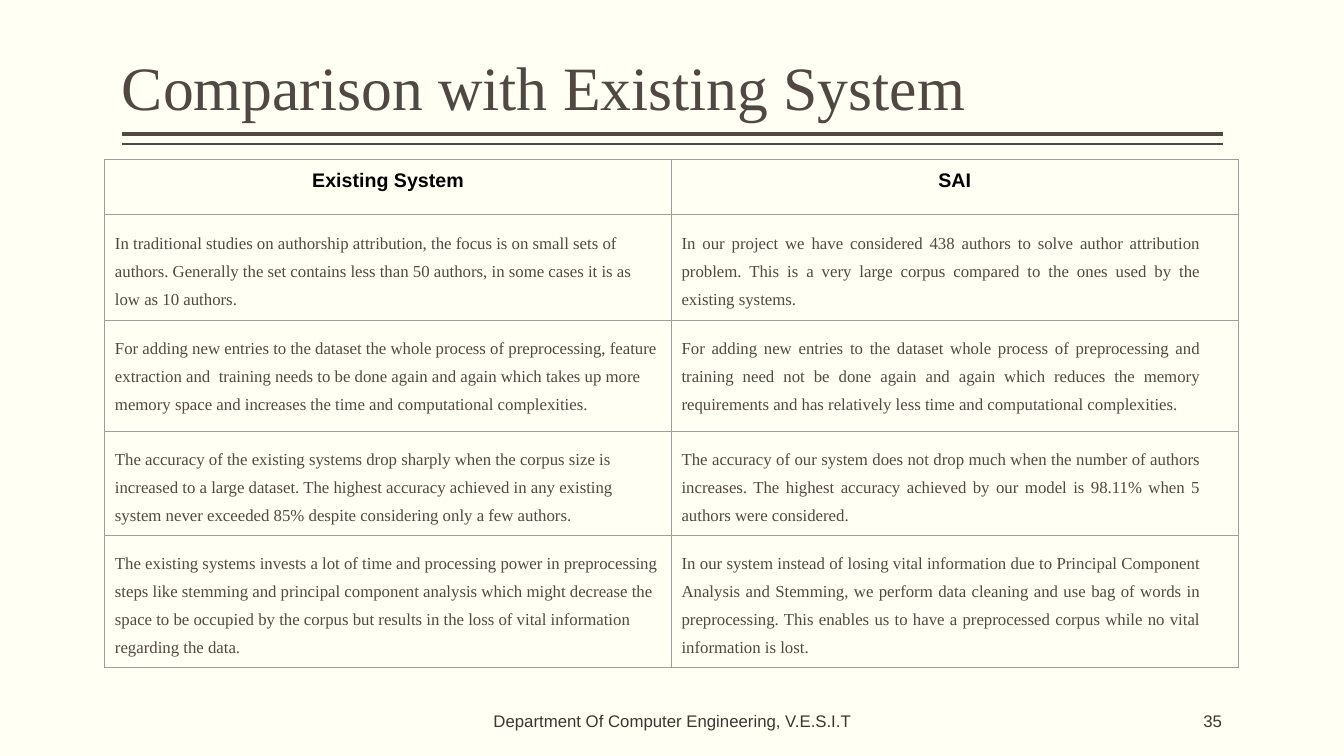
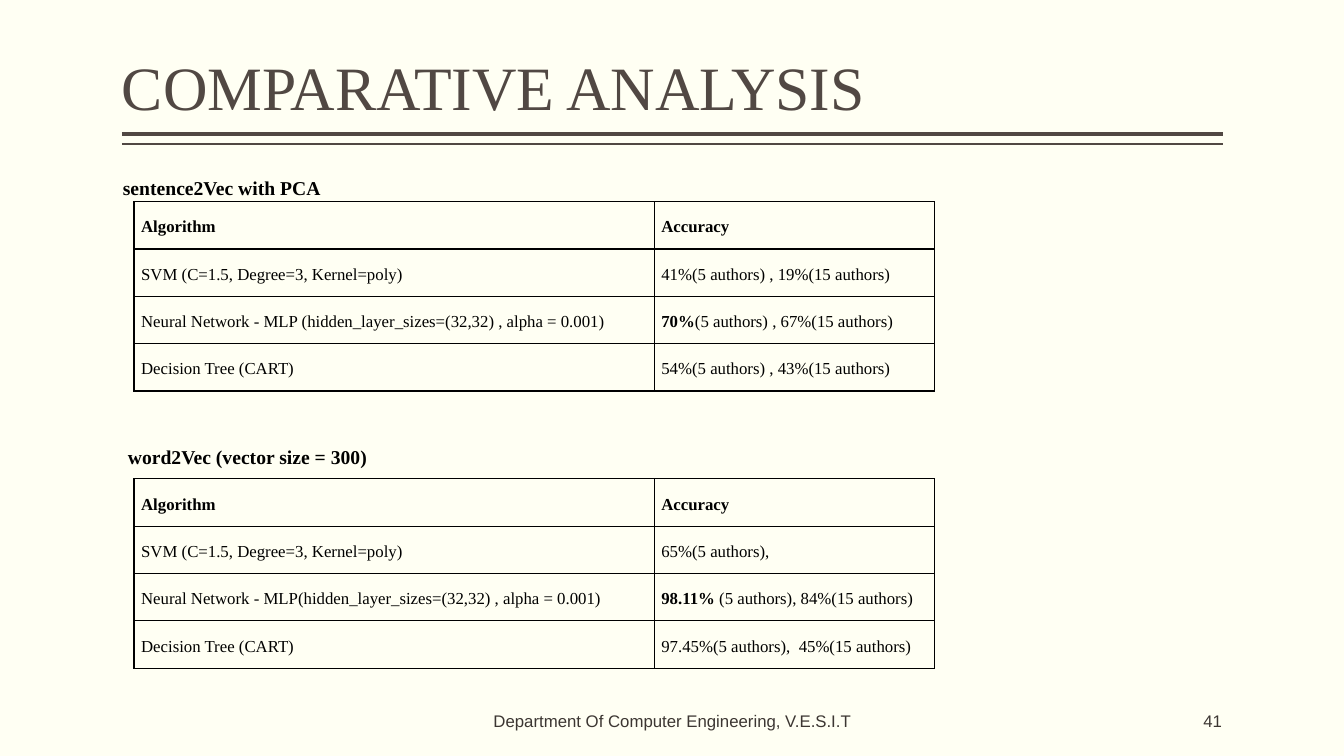
from lxml import etree
from pptx import Presentation
from pptx.dml.color import RGBColor
from pptx.enum.shapes import MSO_CONNECTOR as Link
from pptx.enum.text import MSO_ANCHOR as Anchor, MSO_AUTO_SIZE as Fit, PP_ALIGN as Align
from pptx.oxml.ns import qn
from pptx.util import Inches, Pt

# Shared look
PAPER, BROWN, DARK, BLACK, GREY = "FFFFF3", "514843", "3C3632", "000000", "9E9E9E"
SERIF, SANS = "Times New Roman", "Arial"
LEFT, RIGHT = 1.21, 12.13
FOOTER = "Department Of Computer Engineering, V.E.S.I.T"

# Slide content
SYSTEMS = [
    ("In traditional studies on authorship attribution, the focus is on small sets of authors. "
     "Generally the set contains less than 50 authors, in some cases it is as low as 10 authors.",
     "In our project we have considered 438 authors to solve author attribution problem. "
     "This is a very large corpus compared to the ones used by the existing systems."),
    ("For adding new entries to the dataset the whole process of preprocessing, feature "
     "extraction and  training needs to be done again and again which takes up more memory "
     "space and increases the time and computational complexities.",
     "For adding new entries to the dataset whole process of preprocessing and training need "
     "not be done again and again which reduces the memory requirements and has relatively "
     "less time and computational complexities."),
    ("The accuracy of the existing systems drop sharply when the corpus size is increased to "
     "a large dataset. The highest accuracy achieved in any existing system never exceeded "
     "85% despite considering only a few authors.",
     "The accuracy of our system does not drop much when the number of authors increases. "
     "The highest accuracy achieved by our model is 98.11% when 5 authors were considered."),
    ("The existing systems invests a lot of time and processing power in preprocessing steps "
     "like stemming and principal component analysis which might decrease the space to be "
     "occupied by the corpus but results in the loss of vital information regarding the data.",
     "In our system instead of losing vital information due to Principal Component Analysis "
     "and Stemming, we perform data cleaning and use bag of words in preprocessing. This "
     "enables us to have a preprocessed corpus while no vital information is lost."),
]
SVM = "SVM (C=1.5, Degree=3, Kernel=poly)"
TREE = "Decision Tree (CART)"
# Each score is a bold part and a plain part
SENTENCE = [
    (SVM, ("", "41%(5 authors) , 19%(15 authors)")),
    ("Neural Network - MLP (hidden_layer_sizes=(32,32) , alpha = 0.001)",
     ("70%", "(5 authors) , 67%(15 authors)")),
    (TREE, ("", "54%(5 authors) , 43%(15 authors)")),
]
WORD = [
    (SVM, ("", "65%(5 authors),")),
    ("Neural Network - MLP(hidden_layer_sizes=(32,32) , alpha = 0.001)",
     ("98.11% ", "(5 authors), 84%(15 authors)")),
    (TREE, ("", "97.45%(5 authors),  45%(15 authors)")),
]


def rgb(code):
    return RGBColor.from_string(code)


def write(frame, runs, size, font, color, align=Align.LEFT, gap=1.0):
    """Fill the first paragraph from (text, bold) runs."""
    para = frame.paragraphs[0]
    para.alignment, para.line_spacing = align, gap
    for text, bold in runs:
        run = para.add_run()
        run.text = text
        face = run.font
        face.size, face.name, face.bold = Pt(size), font, bold
        face.color.rgb = rgb(color)


def set_up(frame, side, edge, anchor):
    frame.word_wrap, frame.auto_size = True, Fit.NONE
    frame.margin_left = frame.margin_right = Inches(side)
    frame.margin_top = frame.margin_bottom = Inches(edge)
    frame.vertical_anchor = anchor


def add_box(slide, x, y, w, h, side=0, edge=0.05, anchor=Anchor.MIDDLE):
    box = slide.shapes.add_textbox(Inches(x), Inches(y), Inches(w), Inches(h))
    set_up(box.text_frame, side, edge, anchor)
    return box.text_frame


def add_rule(slide, y, width):
    rule = slide.shapes.add_connector(
        Link.STRAIGHT, Inches(LEFT), Inches(y), Inches(RIGHT), Inches(y))
    rule.line.color.rgb, rule.line.width = rgb(BROWN), Pt(width)
    etree.SubElement(rule.element.spPr, qn("a:effectLst"))


def add_page(deck, title, number):
    """Title, double rule, footer and page number."""
    slide = deck.slides.add_slide(deck.slide_layouts[5])
    for y, width in ((1.33, 3), (1.43, 1)):
        add_rule(slide, y, width)
    head = slide.shapes.title
    head.left, head.top = Inches(LEFT), Inches(0.08)
    head.width, head.height = Inches(RIGHT - LEFT), Inches(1.2)
    set_up(head.text_frame, 0, 0.05, Anchor.BOTTOM)
    write(head.text_frame, [(title, False)], 44, SERIF, BROWN, gap=0.9)
    foot = add_box(slide, 3.21, 6.95, 6.92, 0.4)
    write(foot, [(FOOTER, False)], 12, SANS, DARK, Align.CENTER)
    page = add_box(slide, 10.12, 6.95, 2, 0.4)
    write(page, [(str(number), False)], 12, SANS, DARK, Align.RIGHT)
    return slide


def frame_cell(cell, color, width, pad):
    """Borders, fill and padding of one cell."""
    props = cell._tc.get_or_add_tcPr()
    for side in ("lnL", "lnR", "lnT", "lnB"):
        line = etree.SubElement(props, qn("a:" + side), w=str(Pt(width)))
        fill = etree.SubElement(line, qn("a:solidFill"))
        etree.SubElement(fill, qn("a:srgbClr"), val=color)
    cell.fill.solid()
    cell.fill.fore_color.rgb = rgb(PAPER)
    cell.margin_left = cell.margin_right = Inches(pad)
    cell.margin_top = cell.margin_bottom = Inches(pad)
    cell.vertical_anchor = Anchor.TOP


def add_grid(slide, x, y, cols, rows, color, width, pad):
    shape = slide.shapes.add_table(
        len(rows), len(cols), Inches(x), Inches(y), Inches(sum(cols)), Inches(sum(rows)))
    grid = shape.table
    grid.first_row = grid.horz_banding = False
    for col, size in zip(grid.columns, cols):
        col.width = Inches(size)
    for row, size in zip(grid.rows, rows):
        row.height = Inches(size)
    for cell in grid.iter_cells():
        frame_cell(cell, color, width, pad)
    return grid


def add_systems(slide):
    grid = add_grid(slide, 1.04, 1.58, [5.62] * 2, [0.55, 1.05, 1.1, 1.03, 1.31],
                    GREY, 0.75, 0.1)
    for col, name in enumerate(("Existing System", "SAI")):
        write(grid.cell(0, col).text_frame, [(name, True)], 14, SANS, BLACK, Align.CENTER)
    for row, pair in enumerate(SYSTEMS, 1):
        for col, text in enumerate(pair):
            align = Align.JUSTIFY if col else Align.LEFT
            write(grid.cell(row, col).text_frame, [(text, False)], 12, SERIF, BROWN, align, 1.5)
        grid.cell(row, 1).margin_right = Inches(0.37)


def add_scores(slide, x, y, label, top, scores):
    """Heading at (x, y) and the score table below it."""
    head = add_box(slide, x, y, 9.5, 0.4, 0.1, 0.1, Anchor.TOP)
    write(head, [(label, True)], 14, SERIF, BLACK, gap=1.5)
    lines = [([("Algorithm", True)], [("Accuracy", True)])]
    for name, (bold, plain) in scores:
        score = [(bold, True)] if bold else []
        lines.append(([(name, False)], score + [(plain, False)]))
    grid = add_grid(slide, 1.33, top, [5.16, 2.78], [0.47] * len(lines), BLACK, 1, 0.07)
    for row, line in enumerate(lines):
        for col, runs in enumerate(line):
            write(grid.cell(row, col).text_frame, runs, 12, SERIF, BLACK, gap=1.5)


def main():
    deck = Presentation()
    deck.slide_width, deck.slide_height = Inches(13.33), Inches(7.5)
    back = deck.slide_master.background.fill
    back.solid()
    back.fore_color.rgb = rgb(PAPER)

    # Slide 1: system comparison
    add_systems(add_page(deck, "Comparison with Existing System", 35))

    # Slide 2: accuracy tables
    slide = add_page(deck, "COMPARATIVE ANALYSIS", 41)
    add_scores(slide, 1.12, 1.53, "sentence2Vec with PCA", 2, SENTENCE)
    add_scores(slide, 1.17, 4.2, "word2Vec (vector size = 300)", 4.75, WORD)

    deck.save("out.pptx")


if __name__ == "__main__":
    main()
